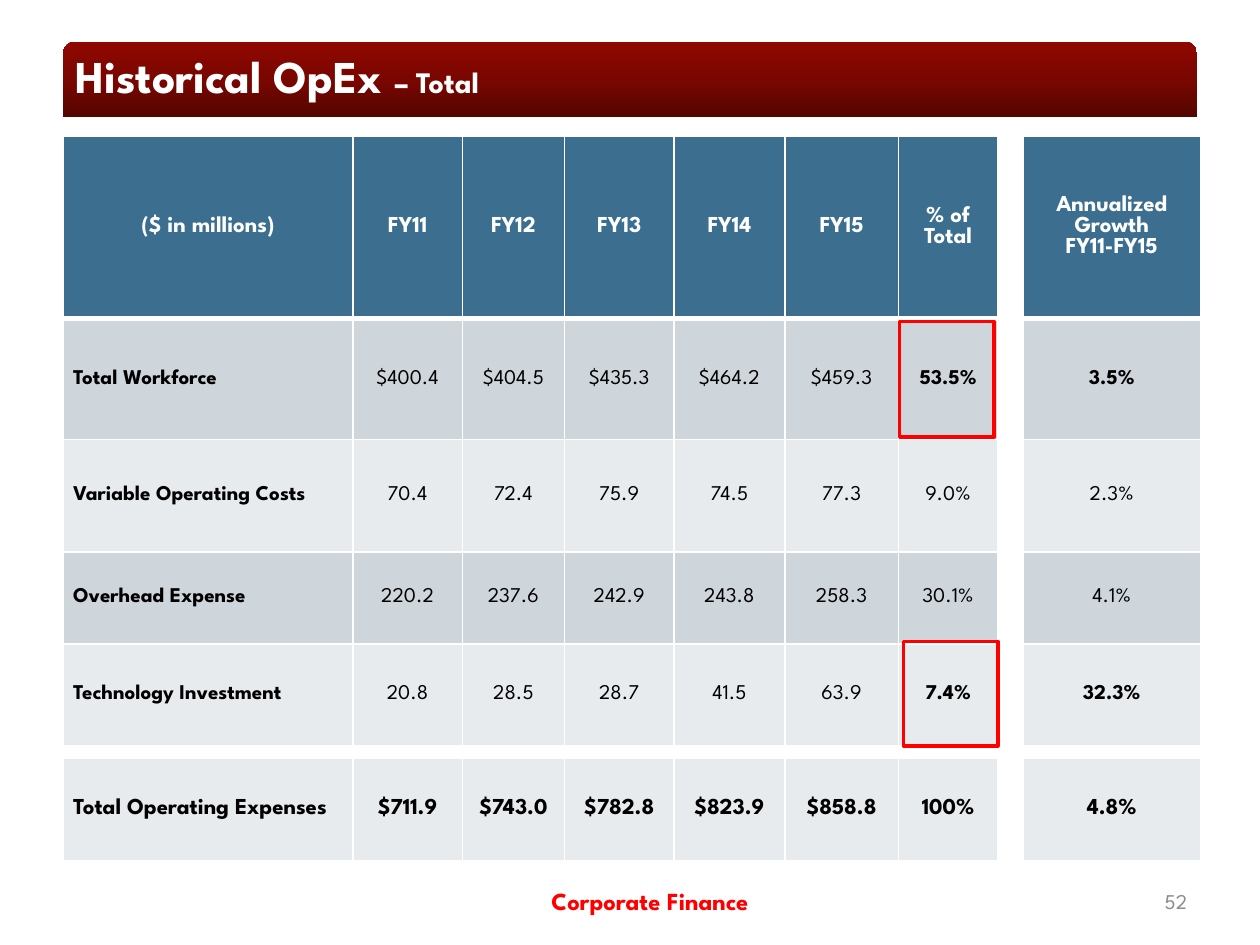
from copy import deepcopy
from dataclasses import dataclass

from lxml.etree import SubElement
from pptx import Presentation
from pptx.dml.color import RGBColor
from pptx.enum.shapes import MSO_SHAPE
from pptx.enum.text import MSO_ANCHOR, MSO_AUTO_SIZE, PP_ALIGN
from pptx.oxml.ns import qn
from pptx.util import Inches, Pt


@dataclass(frozen=True)
class Theme:
    font: str = "League Spartan"
    white: str = "FFFFFF"
    black: str = "000000"
    red: str = "FF0000"
    grey: str = "8C8C8C"
    header: str = "3B6E8F"
    band_dark: str = "CED5DB"
    band_light: str = "E8EBEE"
    bar: tuple = ((0, "550500"), (0.5, "790700"), (1, "900800"))
    title: int = 26
    subtitle: int = 17
    footer: int = 14
    heading: int = 13
    body: int = 12


THEME = Theme()

COL_WIDTHS = [2.3, 0.87, 0.81, 0.87, 0.88, 0.9, 0.79, 0.18, 1.41]
ROW_HEIGHTS = [1.45, 0.96, 0.89, 0.73, 0.81, 0.1, 0.81]
GAP_COL = 7
SHARE_COL = 6
HEADER = ["($ in millions)", "FY11", "FY12", "FY13", "FY14", "FY15",
          "% of Total", "", "Annualized Growth\nFY11-FY15"]
EXPENSES = [
    ["Total Workforce", "$400.4", "$404.5", "$435.3", "$464.2", "$459.3",
     "53.5%", "", "3.5%"],
    ["Variable Operating Costs", "70.4", "72.4", "75.9", "74.5", "77.3",
     "9.0%", "", "2.3%"],
    ["Overhead Expense", "220.2", "237.6", "242.9", "243.8", "258.3",
     "30.1%", "", "4.1%"],
    ["Technology Investment", "20.8", "28.5", "28.7", "41.5", "63.9",
     "7.4%", "", "32.3%"],
]
SPACER = [""] * len(COL_WIDTHS)
TOTAL = ["Total Operating Expenses", "$711.9", "$743.0", "$782.8", "$823.9",
         "$858.8", "100%", "", "4.8%"]
HIGHLIGHTED = ("Total Workforce", "Technology Investment")


def rgb(value):
    return RGBColor.from_string(value)


def add_run(p, text, size, color, bold=False):
    r = p.add_run()
    r.text = text
    r.font.name = THEME.font
    r.font.size = Pt(size)
    r.font.bold = bold
    r.font.color.rgb = rgb(color)


def write(tf, text, *, size, color, bold=False, align=PP_ALIGN.LEFT):
    """Write text into a frame, one paragraph a line."""
    tf.word_wrap = True
    for i, line in enumerate(text.split("\n")):
        p = tf.add_paragraph() if i else tf.paragraphs[0]
        p.alignment = align
        add_run(p, line, size, color, bold)


def add_title(s, text, subtitle):
    bar = s.shapes.add_shape(MSO_SHAPE.ROUND_2_SAME_RECTANGLE, Inches(0.5),
                             Inches(0.33), Inches(9), Inches(0.6))
    bar.shadow.inherit = False
    bar.line.fill.background()
    bar.fill.gradient()
    bar.fill.gradient_angle = 90
    first = bar.fill.gradient_stops[0]._gs
    first.addnext(deepcopy(first))
    for stop, (position, color) in zip(bar.fill.gradient_stops, THEME.bar):
        stop.position = position
        stop.color.rgb = rgb(color)

    title = s.shapes.title
    title.element.addprevious(bar.element)
    title.left, title.top = Inches(0.5), Inches(0.17)
    title.width, title.height = Inches(9), Inches(0.85)
    tf = title.text_frame
    tf.auto_size = MSO_AUTO_SIZE.NONE
    tf.vertical_anchor = MSO_ANCHOR.MIDDLE
    write(tf, text, size=THEME.title, color=THEME.white, bold=True)
    add_run(tf.paragraphs[0], subtitle, THEME.subtitle, THEME.white, True)


def add_label(s, left, width, text, **fmt):
    tb = s.shapes.add_textbox(Inches(left), Inches(6.95), Inches(width), Inches(0.4))
    tb.text_frame.vertical_anchor = MSO_ANCHOR.MIDDLE
    write(tb.text_frame, text, **fmt)


def add_borders(cell, bottom):
    tc_pr = cell._tc.get_or_add_tcPr()
    for side, width in (("L", 1), ("R", 1), ("T", 1), ("B", bottom)):
        ln = SubElement(tc_pr, qn(f"a:ln{side}"), w=str(Pt(width)))
        fill = SubElement(ln, qn("a:solidFill"))
        SubElement(fill, qn("a:srgbClr"), val=THEME.white)


def fill_cell(cell, text, fill, bottom=1, **fmt):
    add_borders(cell, bottom)
    cell.fill.solid()
    cell.fill.fore_color.rgb = rgb(fill)
    cell.vertical_anchor = MSO_ANCHOR.MIDDLE
    cell.margin_left = cell.margin_right = Inches(0.08)
    cell.margin_top = cell.margin_bottom = Inches(0.04)
    if text:
        write(cell.text_frame, text, **fmt)
    else:
        cell.margin_top = cell.margin_bottom = 0
        SubElement(cell.text_frame.paragraphs[0]._p, qn("a:endParaRPr"), sz="100")


def add_expense_table(s):
    rows = [HEADER, *EXPENSES, SPACER, TOTAL]
    frame = s.shapes.add_table(len(rows), len(COL_WIDTHS), Inches(0.5), Inches(1.08),
                               Inches(9), Inches(5.75))
    table = frame.table
    table.first_row = table.horz_banding = False
    for column, width in zip(table.columns, COL_WIDTHS):
        column.width = Inches(width)
    for i, (row, height) in enumerate(zip(rows, ROW_HEIGHTS)):
        table.rows[i].height = Inches(height)
        header, total = row is HEADER, row is TOTAL
        band = THEME.band_dark if i % 2 and not total else THEME.band_light
        for j, text in enumerate(row):
            fill = THEME.header if header else band
            if row is SPACER or j == GAP_COL:
                fill = THEME.white
            highlight = row[0] in HIGHLIGHTED and j >= SHARE_COL
            fill_cell(table.cell(i, j), text, fill,
                      bottom=3 if header else 1,
                      size=THEME.heading if header or total else THEME.body,
                      color=THEME.white if header else THEME.black,
                      bold=header or total or j == 0 or highlight,
                      align=PP_ALIGN.CENTER if header or j else PP_ALIGN.LEFT)


def add_highlight(s, left, top, width, height):
    box = s.shapes.add_shape(MSO_SHAPE.RECTANGLE, Inches(left), Inches(top),
                             Inches(width), Inches(height))
    box.shadow.inherit = False
    box.fill.background()
    box.line.color.rgb = rgb(THEME.red)
    box.line.width = Pt(2)


def main():
    prs = Presentation()
    prs.slide_width, prs.slide_height = Inches(10), Inches(7.5)
    s = prs.slides.add_slide(prs.slide_layouts.get_by_name("Title Only"))
    add_title(s, "Historical OpEx ", "– Total")
    add_label(s, 2.66, 5, "Corporate Finance", size=THEME.footer, color=THEME.red,
              bold=True, align=PP_ALIGN.CENTER)
    add_label(s, 8.92, 0.6, "52", size=THEME.body, color=THEME.grey,
              align=PP_ALIGN.RIGHT)
    add_expense_table(s)
    add_highlight(s, 7.14, 2.55, 0.75, 0.92)
    add_highlight(s, 7.17, 5.09, 0.75, 0.83)
    prs.save("out.pptx")


if __name__ == "__main__":
    main()
